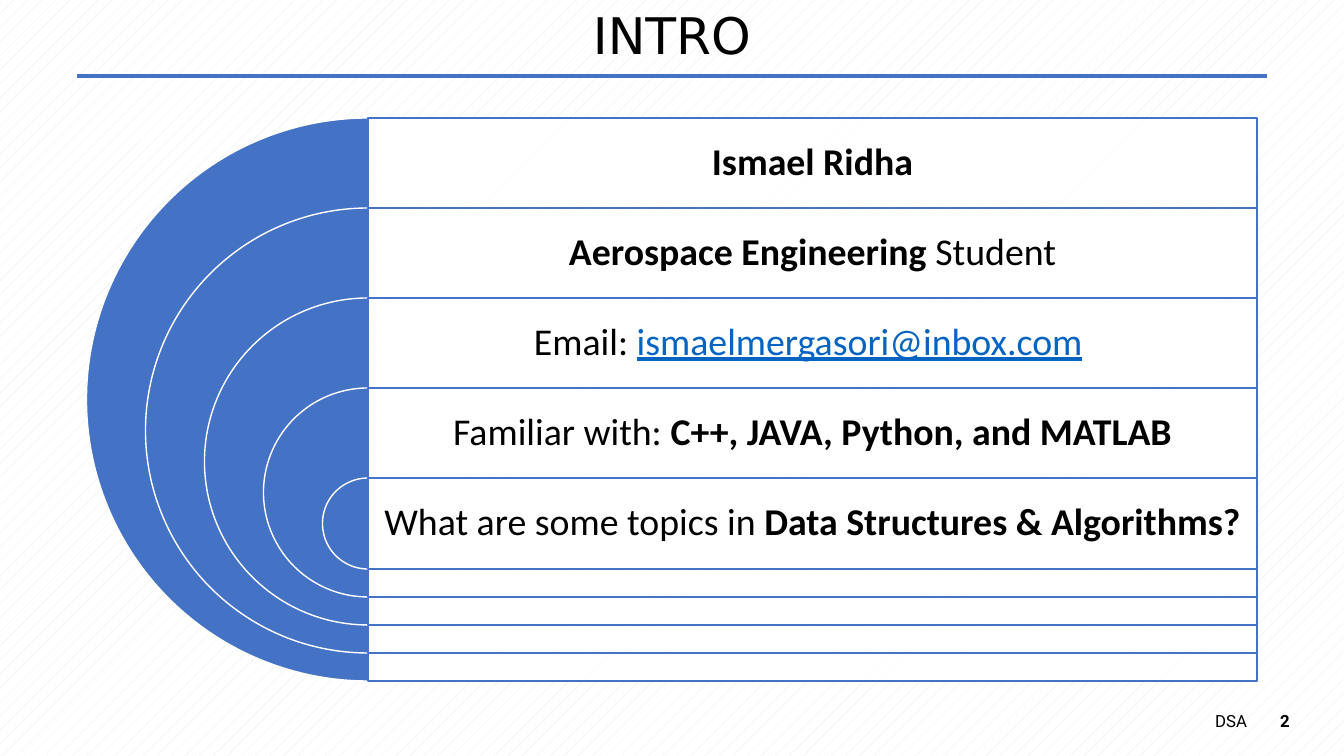
from pptx import Presentation
from pptx.dml.color import RGBColor
from pptx.enum.dml import MSO_PATTERN
from pptx.enum.shapes import MSO_CONNECTOR, MSO_SHAPE
from pptx.enum.text import MSO_ANCHOR, MSO_AUTO_SIZE, PP_ALIGN
from pptx.oxml.ns import qn
from pptx.util import Emu, Pt
from lxml.etree import SubElement

PIXEL = 914400 / 100.8
BLUE, WHITE, BLACK, LINK = "4472C4", "FFFFFF", "000000", "0563C1"


def px(length):
    return Emu(round(length * PIXEL))


def color(hex_code):
    return RGBColor.from_string(hex_code)


def add_run(paragraph, text, font="Calibri", size=27, ink=BLACK, bold=False, underline=False):
    run = paragraph.add_run()
    run.text = text
    run.font.name, run.font.size = font, Pt(size)
    run.font.bold, run.font.underline = bold, underline
    run.font.color.rgb = color(ink)


class SlideBuilder:
    def __init__(self, slide):
        self.slide = slide
        self.shapes = slide.shapes

    def background(self, fore, back):
        fill = self.slide.background.fill
        fill.patterned()
        fill.pattern = MSO_PATTERN.PERCENT_5
        fill.fore_color.rgb, fill.back_color.rgb = color(fore), color(back)

    def fill_frame(self, frame, runs, align=PP_ALIGN.CENTER, spacing=0.9, inset=None):
        frame.word_wrap = True
        frame.auto_size = MSO_AUTO_SIZE.NONE
        frame.vertical_anchor = MSO_ANCHOR.MIDDLE
        if inset is not None:
            frame.margin_left = frame.margin_right = px(inset)
            frame.margin_top = frame.margin_bottom = px(inset)
        paragraph = frame.paragraphs[0]
        paragraph.alignment, paragraph.line_spacing = align, spacing
        for text, style in runs:
            add_run(paragraph, text, **style)

    def title(self, box, runs):
        heading = self.shapes.title
        heading.left, heading.top, heading.width, heading.height = map(px, box)
        self.fill_frame(heading.text_frame, runs)

    def text(self, box, runs, **layout):
        self.fill_frame(self.shapes.add_textbox(*map(px, box)).text_frame, runs, **layout)

    def shape(self, kind, box, fill, line, opacity=100, angles=()):
        shape = self.shapes.add_shape(kind, *map(px, box))
        shape.shadow.inherit = False
        shape.fill.solid()
        shape.fill.fore_color.rgb = color(fill)
        shape.line.color.rgb, shape.line.width = color(line), Pt(1)
        for index, angle in enumerate(angles):
            shape.adjustments[index] = angle * 0.6  # degrees in 60000ths, over 100000
        if opacity < 100:
            tint = shape._element.spPr.find(qn("a:solidFill"))[0]
            SubElement(tint, qn("a:alpha")).set("val", str(opacity * 1000))

    def rule(self, x1, y1, x2, y2, line, width):
        rule = self.shapes.add_connector(MSO_CONNECTOR.STRAIGHT, *map(px, (x1, y1, x2, y2)))
        rule.line.color.rgb, rule.line.width = color(line), Pt(width)
        SubElement(rule._element.spPr, qn("a:effectLst"))


deck = Presentation()
deck.slide_width, deck.slide_height = px(1344), px(756)
intro = SlideBuilder(deck.slides.add_slide(deck.slide_layouts[5]))
intro.background("E7E6E6", WHITE)

# Heading
intro.rule(77, 76, 1267, 76, BLUE, 2.25)
intro.title((87, 0, 1170, 76), [("INTRO", dict(font="DejaVu Sans", size=36))])

# Nested half circles, each with its panel and text
BOLD = dict(bold=True)
facts = [
    [("Ismael Ridha", BOLD)],
    [("Aerospace Engineering ", BOLD), ("Student", {})],
    [("Email: ", {}), ("ismaelmergasori@inbox.com", dict(ink=LINK, underline=True)), (" ", {})],
    [("Familiar with: ", {}), ("C++, JAVA, Python, and MATLAB", BOLD)],
    [("What are some topics in ", {}), ("Data Structures & Algorithms?", BOLD)],
]
AXIS, TOP, PANEL_WIDTH = 368, 118, 889
ROW, DIAMETER, SHRINK = 90, 563, 118
for level, fact in enumerate(facts):
    top = TOP + level * ROW
    diameter = DIAMETER - level * SHRINK
    intro.shape(MSO_SHAPE.PIE, (AXIS - diameter / 2, top, diameter, diameter),
                BLUE, WHITE, angles=(90, 270))
    intro.shape(MSO_SHAPE.RECTANGLE, (AXIS, top, PANEL_WIDTH, diameter),
                WHITE, BLUE, opacity=90)
    intro.text((AXIS, top, PANEL_WIDTH, ROW), fact, inset=11)

# Footer
FOOTER = dict(font="Roboto", size=12)
intro.text((988, 701, 269, 40), [("DSA", FOOTER)], align=PP_ALIGN.RIGHT, spacing=1.0)
intro.text((1257, 701, 56, 40), [("2", FOOTER | BOLD)], spacing=1.0)

deck.save("out.pptx")
